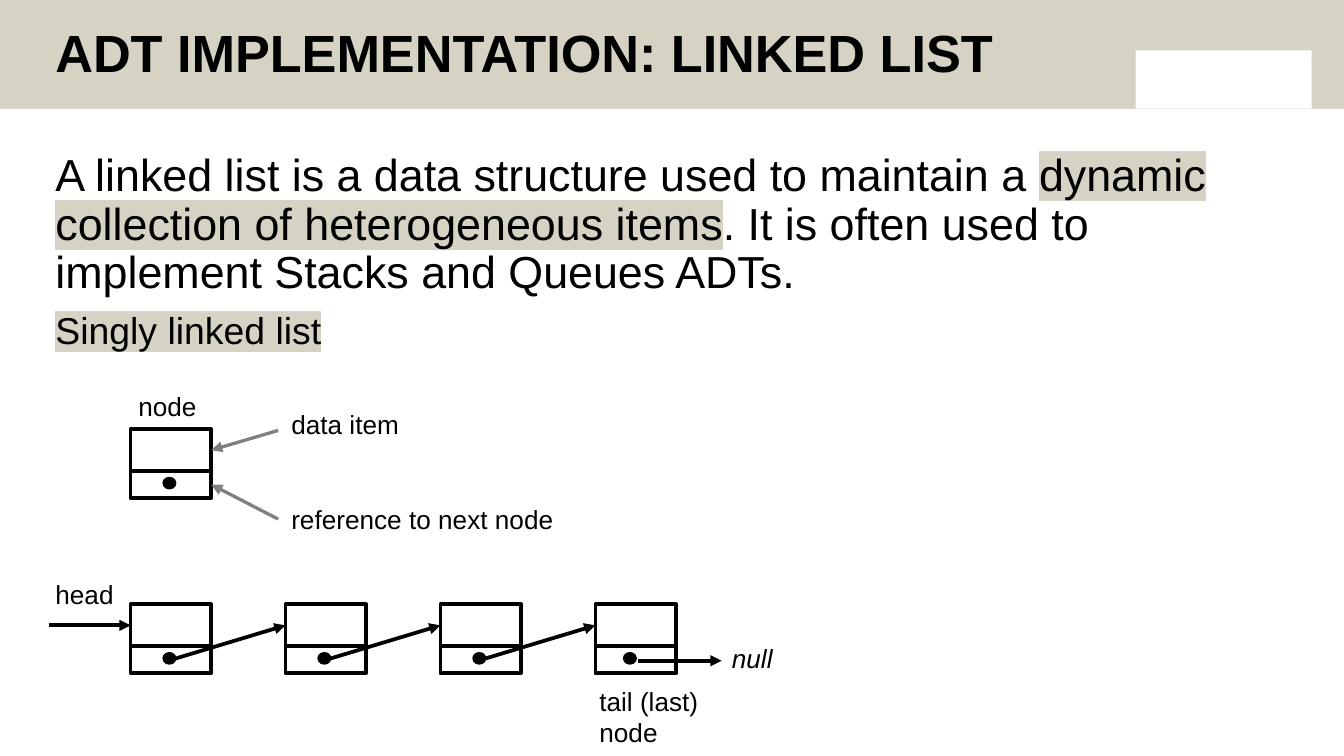
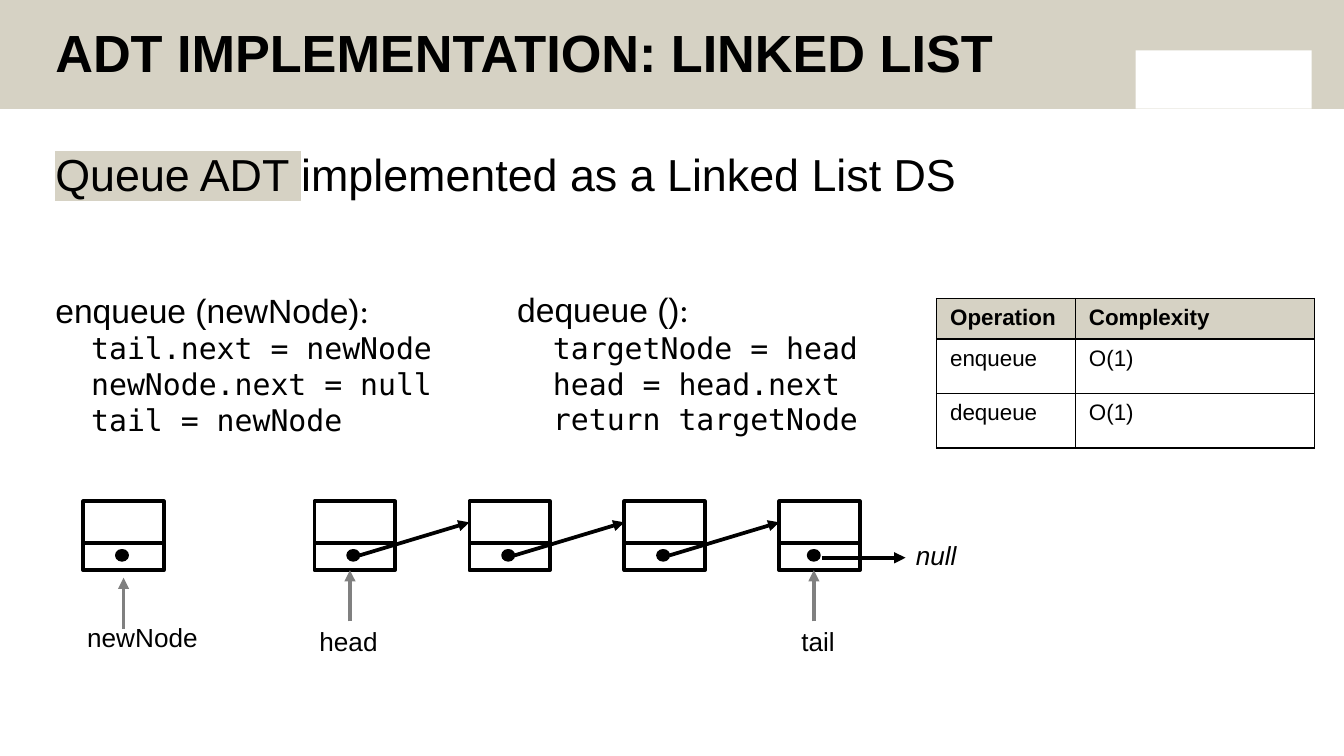
from dataclasses import dataclass

from lxml.etree import SubElement
from pptx import Presentation
from pptx.dml.color import RGBColor
from pptx.enum.shapes import MSO_CONNECTOR, MSO_SHAPE
from pptx.enum.text import MSO_ANCHOR
from pptx.oxml.ns import qn
from pptx.util import Pt

RECT, OVAL = MSO_SHAPE.RECTANGLE, MSO_SHAPE.OVAL
LINE = MSO_CONNECTOR.STRAIGHT
TOP, BASE = MSO_ANCHOR.TOP, MSO_ANCHOR.BOTTOM
LEFT, RIGHT = 1, 3


@dataclass(frozen=True)
class Theme:
    sand: str = "D6D2C4"
    ink: str = "000000"
    grey: str = "808080"
    white: str = "FFFFFF"
    sans: str = "Arial"
    colon: str = "Calibri"
    mono: str = "DejaVu Sans Mono"
    title: float = 28
    lead: float = 24
    sub: float = 20
    call: float = 18
    code: float = 16
    label: float = 14
    cell: float = 12


THEME = Theme()
WIDE, HIGH = 720, 405
BAND = 58.3
EDGE = 22.6
TITLE = "ADT IMPLEMENTATION: LINKED LIST"
BODY = (EDGE, 78.4, 658, 295)

# Parts of a node, and the step from one node to the next
NODE, DATA, REF = 43.2, 22.5, 14.4
STEP = 83


def color(code):
    return RGBColor.from_string(code)


def add_run(para, text, size, font=THEME.sans, bold=False, italic=False,
            mark=False):
    run = para.add_run()
    run.text = text
    face = run.font
    face.size, face.bold, face.italic = Pt(size), bold, italic
    face.color.rgb = color(THEME.ink)
    if mark:
        glow = SubElement(run._r.get_or_add_rPr(), qn("a:highlight"))
        SubElement(glow, qn("a:srgbClr")).set("val", THEME.sand)
    face.name = font


def add_text(slide, box, paras, anchor=TOP, wrap=True, tight=False, gap=0):
    """Fill a text box; each paragraph is a list of (text, size, options)."""
    frame = slide.shapes.add_textbox(*map(Pt, box)).text_frame
    frame.word_wrap = wrap
    frame.vertical_anchor = anchor
    for i, runs in enumerate(paras):
        para = frame.add_paragraph() if i else frame.paragraphs[0]
        if tight:
            para.line_spacing = 0.9
        if i and gap:
            para.space_before = Pt(gap)
        for text, size, opts in runs:
            add_run(para, text, size, **opts)


def add_label(slide, x, y, width, *lines):
    paras = [[(line, THEME.label, {})] for line in lines]
    add_text(slide, (x, y, width, 7.2 + 17 * len(lines)), paras, wrap=False)


def add_form(slide, kind, box, fill=None, line=None, width=2):
    form = slide.shapes.add_shape(kind, *map(Pt, box))
    form.shadow.inherit = False
    if fill:
        form.fill.solid()
        form.fill.fore_color.rgb = color(fill)
    else:
        form.fill.background()
    if line:
        form.line.color.rgb = color(line)
        form.line.width = Pt(width)
    else:
        form.line.fill.background()
    return form


def add_arrow(slide, start, end, tone=THEME.ink, width=2, join=None):
    """Draw an arrow; join is the (shape, side) that its head sticks to."""
    arrow = slide.shapes.add_connector(LINE, *map(Pt, (*start, *end)))
    arrow.line.color.rgb = color(tone)
    arrow.line.width = Pt(width)
    props = arrow._element.spPr
    SubElement(props.find(qn("a:ln")), qn("a:tailEnd")).set(
        "type", "triangle")
    SubElement(props, qn("a:effectLst"))
    if join:
        arrow.end_connect(*join)


def add_node(slide, x, y, dot=17.5):
    """Draw a node and return its data and reference cells."""
    data = add_form(slide, RECT, (x, y, NODE, DATA), line=THEME.ink)
    ref = add_form(slide, RECT, (x, y + DATA, NODE, REF), line=THEME.ink)
    add_form(slide, OVAL, (x + dot, y + 26, 6.5, 5.8), THEME.ink,
             THEME.ink, 1)
    return data, ref


def add_chain(slide, x, y, count=4):
    """Draw linked nodes ending in null; return the first data cell."""
    last = x + (count - 1) * STEP
    cells = [add_node(slide, x + i * STEP, y)[0] for i in range(count - 1)]
    cells.append(add_node(slide, last, y, 15.2)[0])
    for i, cell in enumerate(cells[1:]):
        add_arrow(slide, (x + i * STEP + 24, y + 29),
                  (x + (i + 1) * STEP, y + DATA / 2), join=(cell, LEFT))
    add_arrow(slide, (last + 23, y + 30.2), (last + 67.6, y + 30.2))
    add_text(slide, (last + 66, y + 18.7, 40, 22.3),
             [[("null", THEME.label, {"italic": True})]],
             wrap=False, tight=True)
    return cells[0]


def add_key(slide, x, y):
    """Draw one node with its parts named."""
    data, ref = add_node(slide, x, y)
    add_label(slide, x - 3, y - 24.5, 48, "node")
    names = [("data item", 76, data, -14.4, 0.7, DATA / 2),
             ("reference to next node", 160, ref, 36, 48.2,
              DATA + REF / 2)]
    for text, width, cell, top, start, end in names:
        add_label(slide, x + 79, y + top, width, text)
        add_arrow(slide, (x + 79, y + start), (x + NODE, y + end),
                  THEME.grey, 1.75, (cell, RIGHT))


def add_mark(slide, x, y, text, width, shift, drop):
    """Draw an upward pointer with a name shifted from it."""
    add_arrow(slide, (x, y + 27.4), (x, y), THEME.grey)
    add_label(slide, x + shift, y + drop, width, text)


def add_code(slide, box, call, lines):
    head = [(call, THEME.call, {}), (":", THEME.call, {"font": THEME.colon})]
    body = [[("  " + line, THEME.code, {"font": THEME.mono})]
            for line in lines]
    add_text(slide, box, [head, *body])


def add_edges(cell):
    for side in ("lnL", "lnR", "lnT", "lnB"):
        edge = SubElement(cell._tc.get_or_add_tcPr(), qn("a:" + side))
        edge.set("w", str(Pt(1)))
        fill = SubElement(edge, qn("a:solidFill"))
        SubElement(fill, qn("a:srgbClr")).set("val", THEME.ink)


def add_grid(slide, box, rows, widths, heights):
    table = slide.shapes.add_table(
        len(rows), len(widths), *map(Pt, box)).table
    table.first_row = table.horz_banding = False
    for col, width in zip(table.columns, widths):
        col.width = Pt(width)
    for i, row in enumerate(rows):
        table.rows[i].height = Pt(heights[i])
        for j, text in enumerate(row):
            cell = table.cell(i, j)
            add_edges(cell)
            if i:
                cell.fill.background()
            else:
                cell.fill.solid()
                cell.fill.fore_color.rgb = color(THEME.sand)
            add_run(cell.text_frame.paragraphs[0], text, THEME.cell,
                    bold=i == 0)


def add_page(deck, body):
    """Add a slide with the band, the title and the lead text."""
    slide = deck.slides.add_slide(deck.slide_layouts[6])
    add_form(slide, RECT, (0, 0, WIDE, BAND), THEME.sand)
    add_form(slide, RECT, (608.4, 27, 94.3, BAND - 27), THEME.white)
    add_text(slide, (EDGE, 10.5, 554.4, 38.2),
             [[(TITLE, THEME.title, {"bold": True})]], BASE, tight=True)
    add_text(slide, BODY, body, tight=True, gap=7.5)
    return slide


def list_page(deck):
    mark = {"mark": True}
    slide = add_page(deck, [
        [("A linked list is a data structure used to maintain a ",
          THEME.lead, {}),
         ("dynamic collection of heterogeneous items", THEME.lead, mark),
         (". It is often used to implement Stacks and Queues ADTs.",
          THEME.lead, {})],
        [("Singly linked list", THEME.sub, mark)],
    ])
    x, y = 70, 323.8
    add_key(slide, x, 229.9)
    first = add_chain(slide, x, y)
    add_arrow(slide, (x - 44, y + DATA / 2), (x, y + DATA / 2),
              join=(first, LEFT))
    add_label(slide, x - 47.4, y - 17.6, 48, "head")
    add_label(slide, x + 3 * STEP - 5, y + 39.8, 76, "tail (last)", "node")


def queue_page(deck):
    slide = add_page(deck, [
        [("Queue ADT ", THEME.lead, {"mark": True}),
         ("implemented as a Linked List DS", THEME.lead, {})],
    ])
    add_code(slide, (EDGE, 151.7, 219, 87), "enqueue (newNode)",
             ["tail.next = newNode", "newNode.next = null",
              "tail = newNode"])
    add_code(slide, (270, 151.3, 230, 90), "dequeue ()",
             ["targetNode = head", "head = head.next",
              "return targetNode"])
    add_grid(slide, (501.8, 160, 202.4, 80),
             [("Operation", "Complexity"), ("enqueue", "O(1)"),
              ("dequeue", "O(1)")],
             (74.4, 128), (21.6, 29.2, 29.2))
    x, y, new = 168.5, 268.6, 44.6
    foot = y + DATA + REF
    add_chain(slide, x, y)
    add_node(slide, new, y)
    add_mark(slide, x + 19, foot, "head", 48, -23.5, 26.2)
    add_mark(slide, x + 3 * STEP + 18.5, foot, "tail", 36, -13.8, 26.2)
    add_mark(slide, new + NODE / 2, foot + 4, "newNode", 78, -26.6, 20)


def main():
    deck = Presentation()
    deck.slide_width, deck.slide_height = Pt(WIDE), Pt(HIGH)
    list_page(deck)
    queue_page(deck)
    deck.save("out.pptx")


if __name__ == "__main__":
    main()
